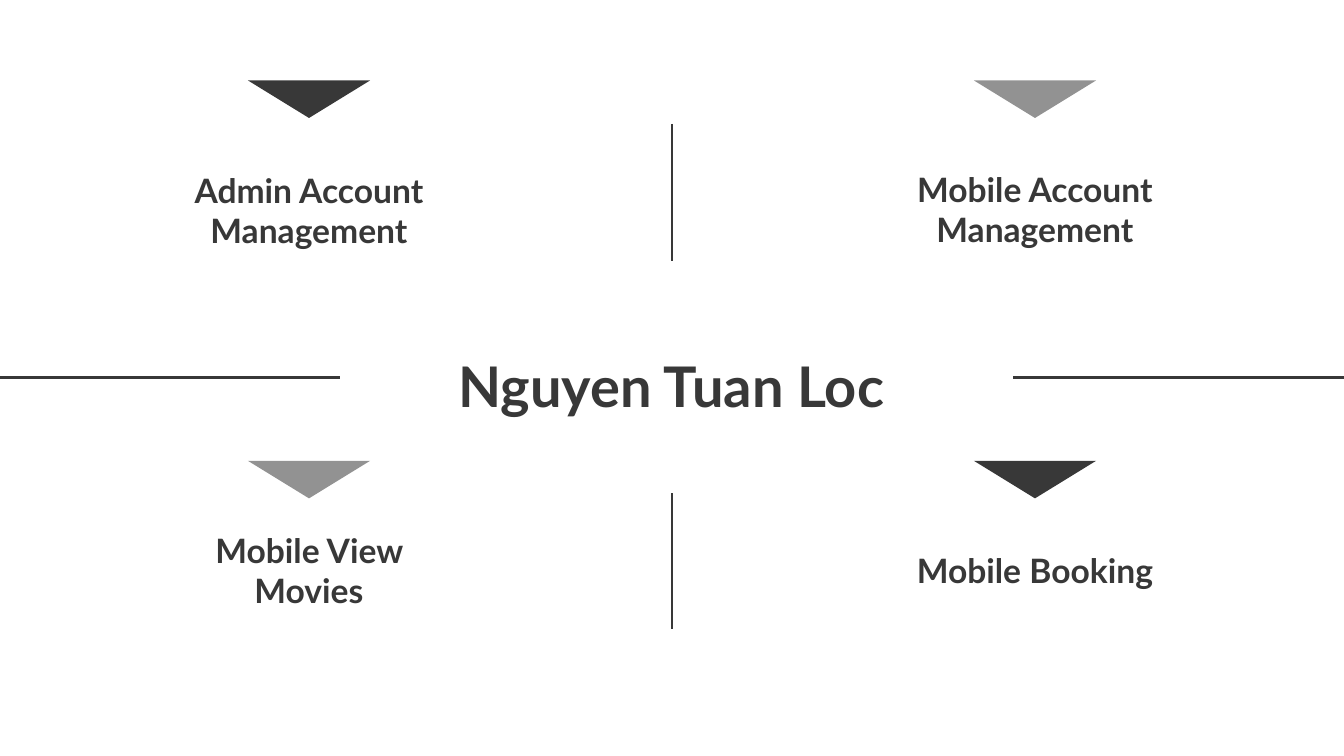
from pptx import Presentation
from pptx.dml.color import RGBColor
from pptx.enum.shapes import MSO_CONNECTOR, MSO_SHAPE
from pptx.enum.text import MSO_ANCHOR, MSO_AUTO_SIZE, PP_ALIGN
from pptx.oxml.ns import qn
from pptx.util import Cm, Pt
from lxml import etree

TRIANGLE = MSO_SHAPE.ISOSCELES_TRIANGLE
STRAIGHT = MSO_CONNECTOR.STRAIGHT
TOP, MIDDLE = MSO_ANCHOR.TOP, MSO_ANCHOR.MIDDLE
CENTER = PP_ALIGN.CENTER
NO_AUTOFIT = MSO_AUTO_SIZE.NONE

COLORS = {"dark": "383838", "gray": "929292"}
FONT = "Lato"
INSET = 0.25

# Layout in centimetres
WIDTH, HEIGHT = 25.4, 14.29
MIDDLE_X = WIDTH / 2
COLUMN_OFFSET = 6.86
LEFT_X, RIGHT_X = MIDDLE_X - COLUMN_OFFSET, MIDDLE_X + COLUMN_OFFSET
LABEL_WIDTH = 5.44
MARKER_WIDTH, MARKER_HEIGHT = 2.31, 0.71
UPPER_Y, LOWER_Y = 1.52, 8.71
DIVIDER_Y = 7.14


class SlideBuilder:
    def __init__(self, presentation):
        self.slide = presentation.slides.add_slide(presentation.slide_layouts[5])

    def color(self, name):
        return RGBColor.from_string(COLORS[name])

    def fill_text(self, shape, text, size, anchor):
        frame = shape.text_frame
        frame.word_wrap = True
        frame.auto_size = NO_AUTOFIT
        frame.vertical_anchor = anchor
        frame.margin_left = frame.margin_right = Cm(INSET)
        frame.margin_top = frame.margin_bottom = Cm(INSET)
        paragraph = frame.paragraphs[0]
        paragraph.alignment = CENTER
        run = paragraph.add_run()
        run.text = text
        run.font.name = FONT
        run.font.size = Pt(size)
        run.font.bold = True
        run.font.color.rgb = self.color("dark")

    def title(self, text, left, top, width, height):
        title = self.slide.shapes.title
        title.left, title.top = Cm(left), Cm(top)
        title.width, title.height = Cm(width), Cm(height)
        self.fill_text(title, text, 30, TOP)

    def label(self, text, center_x, top, height):
        box = self.slide.shapes.add_textbox(
            Cm(center_x - LABEL_WIDTH / 2), Cm(top), Cm(LABEL_WIDTH), Cm(height))
        self.fill_text(box, text, 18, MIDDLE)

    def marker(self, center_x, top, color):
        shape = self.slide.shapes.add_shape(
            TRIANGLE, Cm(center_x - MARKER_WIDTH / 2), Cm(top),
            Cm(MARKER_WIDTH), Cm(MARKER_HEIGHT))
        shape.rotation = 180
        shape.shadow.inherit = False
        shape.fill.solid()
        shape.fill.fore_color.rgb = self.color(color)
        shape.line.fill.background()

    def line(self, start_x, start_y, end_x, end_y):
        connector = self.slide.shapes.add_connector(
            STRAIGHT, Cm(start_x), Cm(start_y), Cm(end_x), Cm(end_y))
        connector.line.color.rgb = self.color("dark")
        connector.line.width = Pt(1.5)
        properties = connector._element.spPr
        etree.SubElement(properties, qn("a:effectLst"))


def main():
    presentation = Presentation()
    presentation.slide_width, presentation.slide_height = Cm(WIDTH), Cm(HEIGHT)
    builder = SlideBuilder(presentation)

    # Name in the centre
    builder.title("Nguyen Tuan Loc", 3.84, 6.4, 17.7, 1.47)

    # Four responsibilities: text, column, label top and height, marker top and colour
    quadrants = [
        ("Admin Account Management", LEFT_X, 2.49, 2.97, UPPER_Y, "dark"),
        ("Mobile View Movies", LEFT_X, 9.65, 2.24, LOWER_Y, "gray"),
        ("Mobile Account Management", RIGHT_X, 2.62, 2.66, UPPER_Y, "gray"),
        ("Mobile Booking", RIGHT_X, 9.65, 2.24, LOWER_Y, "dark"),
    ]
    for text, center_x, label_top, label_height, marker_top, color in quadrants:
        builder.label(text, center_x, label_top, label_height)
        builder.marker(center_x, marker_top, color)

    # Horizontal dividers
    for start_x, end_x in [(0, 6.43), (19.15, WIDTH)]:
        builder.line(start_x, DIVIDER_Y, end_x, DIVIDER_Y)

    # Vertical dividers
    for start_y, end_y in [(2.34, 4.93), (9.32, 11.89)]:
        builder.line(MIDDLE_X, start_y, MIDDLE_X, end_y)

    presentation.save("out.pptx")


if __name__ == "__main__":
    main()
